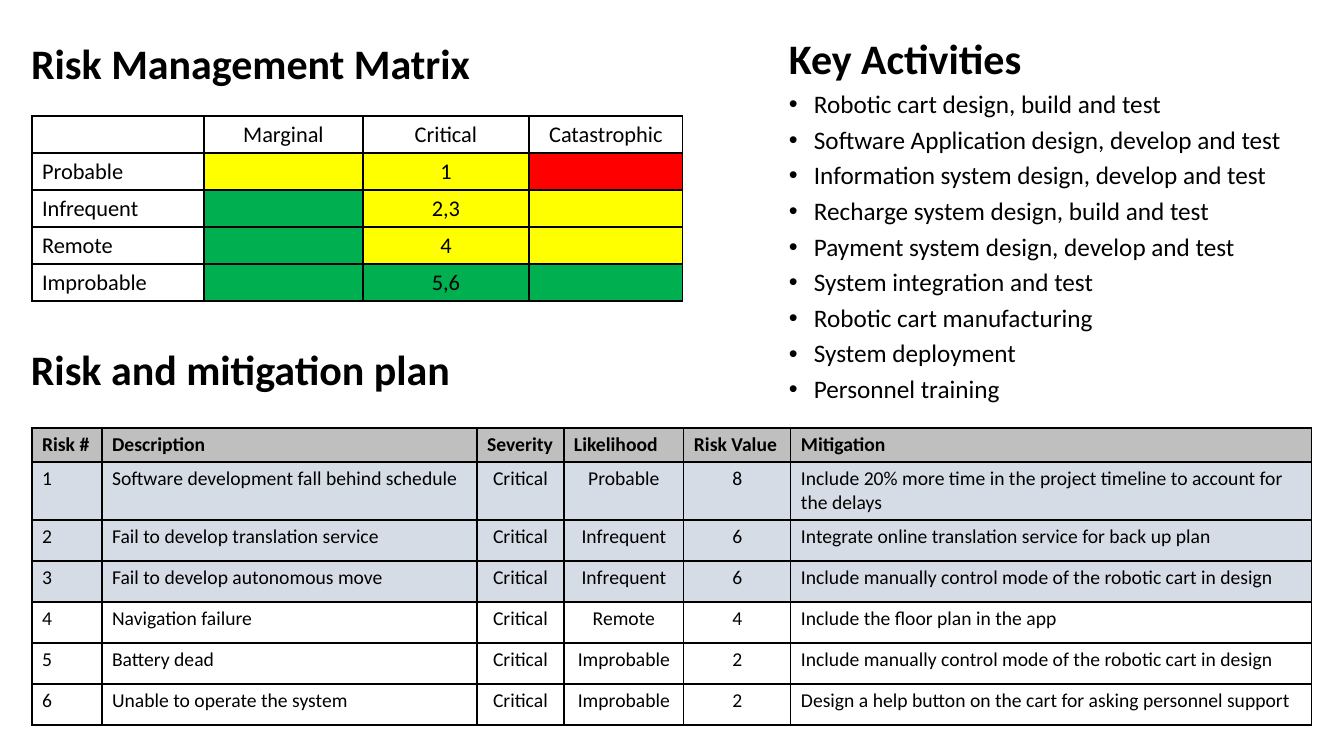
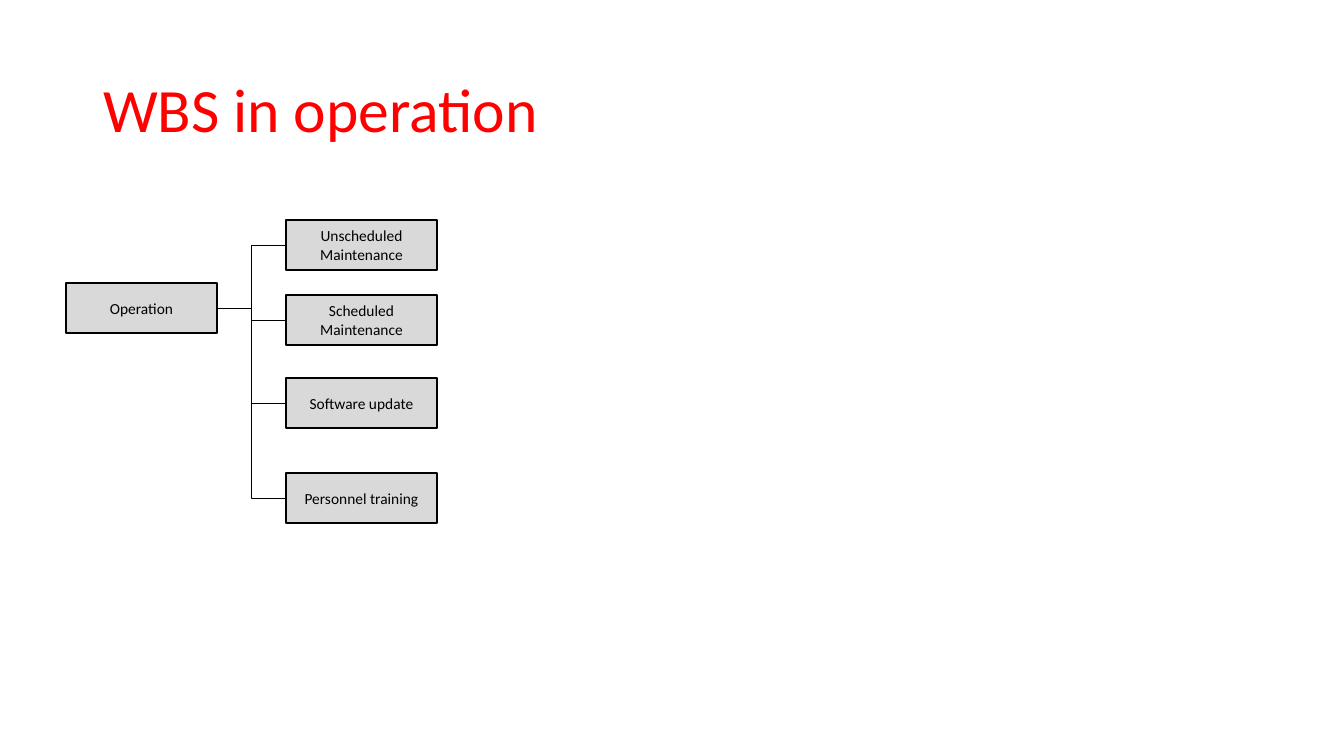
import pptx
import pptx.dml.color
import pptx.enum.shapes
import pptx.enum.text
import pptx.oxml.ns
import pptx.util
from lxml import etree

PX = 914400 / 100.8  # EMU in one px
qn = pptx.oxml.ns.qn
rgb = pptx.dml.color.RGBColor.from_string
ALIGN = pptx.enum.text.PP_ALIGN
ANCHOR = pptx.enum.text.MSO_ANCHOR
SHAPE = pptx.enum.shapes.MSO_SHAPE
ELBOW = pptx.enum.shapes.MSO_CONNECTOR.ELBOW

THEME = {
    "font": "Calibri",
    "black": "000000", "red": "FF0000", "yellow": "FFFF00", "green": "00B050",
    "header": "BFBFBF", "band": "D6DCE5", "box": "D9D9D9",
    "title": 44, "heading": 30, "bullet": 18, "matrix": 16, "plan": 14, "label": 11,
}


def px(*lengths):
    return [round(n * PX) for n in lengths]


def write(p, text, size, color="black", bold=False, **paragraph_format):
    """Fill one paragraph with one formatted run."""
    for name, value in paragraph_format.items():
        setattr(p, name, value)
    points = pptx.util.Pt(THEME[size])
    if not text:  # an empty cell keeps its row as low as the others
        etree.SubElement(p._p, qn("a:endParaRPr"), sz=str(points.centipoints))
        return
    r = p.add_run()
    r.text = text
    for name, value in {"name": THEME["font"], "size": points, "bold": bold}.items():
        setattr(r.font, name, value)
    r.font.color.rgb = rgb(THEME[color])


prs = pptx.Presentation()
prs.slide_width, prs.slide_height = px(1344, 756)
title_only = prs.slide_layouts[5]

# Slide 1: risks and activities
s = prs.slides.add_slide(title_only)

# Headings
matrix_heading = s.shapes.title
matrix_heading.left, matrix_heading.top, matrix_heading.width, matrix_heading.height = px(21, 32, 472, 61)
plan_heading = s.shapes.add_textbox(*px(21, 339, 472, 61))
for sp, text in ((matrix_heading, "Risk Management Matrix"), (plan_heading, "Risk and mitigation plan")):
    tf = sp.text_frame
    tf.word_wrap = True
    tf.auto_size = pptx.enum.text.MSO_AUTO_SIZE.NONE
    tf.vertical_anchor = ANCHOR.TOP
    write(tf.paragraphs[0], text, "heading", bold=True, alignment=ALIGN.LEFT)

# Key activities
activities = [
    "Robotic cart design, build and test",
    "Software Application design, develop and test",
    "Information system design, develop and test",
    "Recharge system design, build and test",
    "Payment system design, develop and test",
    "System integration and test",
    "Robotic cart manufacturing",
    "System deployment",
    "Personnel training",
]
tf = s.shapes.add_textbox(*px(779, 33, 563, 404)).text_frame
tf.word_wrap = True
write(tf.paragraphs[0], "Key Activities", "heading", bold=True, line_spacing=0.9)
for activity in activities:
    p = tf.add_paragraph()
    pPr = p._p.get_or_add_pPr()
    indent = px(25)[0]
    pPr.set("marL", str(indent))
    pPr.set("indent", str(-indent))
    etree.SubElement(pPr, qn("a:buFont"), typeface="Arial")
    etree.SubElement(pPr, qn("a:buChar"), char="•")
    write(p, activity, "bullet", line_spacing=0.9, space_before=pptx.util.Pt(6))

# Table contents, and the fill of each cell
matrix = [
    ["", "Marginal", "Critical", "Catastrophic"],
    ["Probable", "", "1", ""],
    ["Infrequent", "", "2,3", ""],
    ["Remote", "", "4", ""],
    ["Improbable", "", "5,6", ""],
]
matrix_fills = [
    [None] * 4,
    [None, "yellow", "yellow", "red"],
    [None, "green", "yellow", "yellow"],
    [None, "green", "yellow", "yellow"],
    [None, "green", "green", "green"],
]
plan = [
    ["Risk #", "Description", "Severity", "Likelihood", "Risk Value", "Mitigation"],
    ["1", "Software development fall behind schedule", "Critical", "Probable", "8",
     "Include 20% more time in the project timeline to account for the delays"],
    ["2", "Fail to develop translation service", "Critical", "Infrequent", "6",
     "Integrate online translation service for back up plan"],
    ["3", "Fail to develop autonomous move", "Critical", "Infrequent", "6",
     "Include manually control mode of the robotic cart in design"],
    ["4", "Navigation failure", "Critical", "Remote", "4", "Include the floor plan in the app"],
    ["5", "Battery dead", "Critical", "Improbable", "2",
     "Include manually control mode of the robotic cart in design"],
    ["6", "Unable to operate the system", "Critical", "Improbable", "2",
     "Design a help button on the cart for asking personnel support"],
]
plan_fills = [[name] * 6 for name in ["header"] + ["band"] * 3 + [None] * 3]

# Tables: top, column widths, row heights, type size, centred columns, bold header
tables = [
    (428, [70, 375, 87, 120, 107, 521], [34, 58] + [41] * 5, plan, plan_fills, "plan", (2, 3, 4), True),
    (116, [172, 159, 166, 154], [37] * 5, matrix, matrix_fills, "matrix", (1, 2, 3), False),
]
for top, widths, heights, rows, fills, size, centred, bold_header in tables:
    frame = s.shapes.add_table(len(rows), len(widths), *px(32, top, sum(widths), sum(heights)))
    table = frame.table
    table.horz_banding = False
    table.first_row = bold_header
    for column, width in zip(table.columns, px(*widths)):
        column.width = width
    for row, height in zip(table.rows, px(*heights)):
        row.height = height
    for i, row in enumerate(rows):
        for j, text in enumerate(row):
            cell = table.cell(i, j)
            header = bold_header and i == 0
            middle = j in centred and not header
            write(cell.text_frame.paragraphs[0], text, size, bold=header,
                  alignment=ALIGN.CENTER if middle else ALIGN.LEFT)
            if fills[i][j]:
                cell.fill.solid()
                cell.fill.fore_color.rgb = rgb(THEME[fills[i][j]])
            else:
                cell.fill.background()
            tcPr = cell._tc.get_or_add_tcPr()
            for k, side in enumerate(("lnL", "lnR", "lnT", "lnB")):
                ln = etree.Element(qn("a:" + side), w=str(pptx.util.Pt(1)))
                fill = etree.SubElement(ln, qn("a:solidFill"))
                etree.SubElement(fill, qn("a:srgbClr"), val=THEME["black"])
                tcPr.insert(k, ln)

# Slide 2: work breakdown
s = prs.slides.add_slide(title_only)
title = s.shapes.title
title.left, title.top, title.width, title.height = px(93, 40, 1159, 146)
title.text_frame.vertical_anchor = ANCHOR.MIDDLE
write(title.text_frame.paragraphs[0], "WBS in operation", "title", "red",
      alignment=ALIGN.LEFT, line_spacing=0.9)

# Boxes: the root comes first, then its parts
nodes = [
    (66, 283, "Operation"),
    (286, 220, "Unscheduled Maintenance"),
    (286, 295, "Scheduled Maintenance"),
    (286, 378, "Software update"),
    (286, 473, "Personnel training"),
]
boxes = []
for left, top, text in nodes:
    sp = s.shapes.add_shape(SHAPE.RECTANGLE, *px(left, top, 151, 50))
    sp.shadow.inherit = False
    sp.fill.solid()
    sp.fill.fore_color.rgb = rgb(THEME["box"])
    sp.line.color.rgb = rgb(THEME["black"])
    sp.line.width = pptx.util.Pt(1)
    tf = sp.text_frame
    tf.word_wrap = True
    tf.vertical_anchor = ANCHOR.MIDDLE
    write(tf.paragraphs[0], text, "label", alignment=ALIGN.CENTER)
    boxes.append(sp)

# Elbow lines from the right of the root to the left of each part
root, *parts = boxes
for part in parts:
    link = s.shapes.add_connector(ELBOW, 0, 0, 0, 0)
    link.begin_connect(root, 3)
    link.end_connect(part, 1)
    link.line.color.rgb = rgb(THEME["black"])
    link.line.width = pptx.util.Pt(0.5)
    etree.SubElement(link._element.spPr, qn("a:effectLst"))

prs.save("out.pptx")
